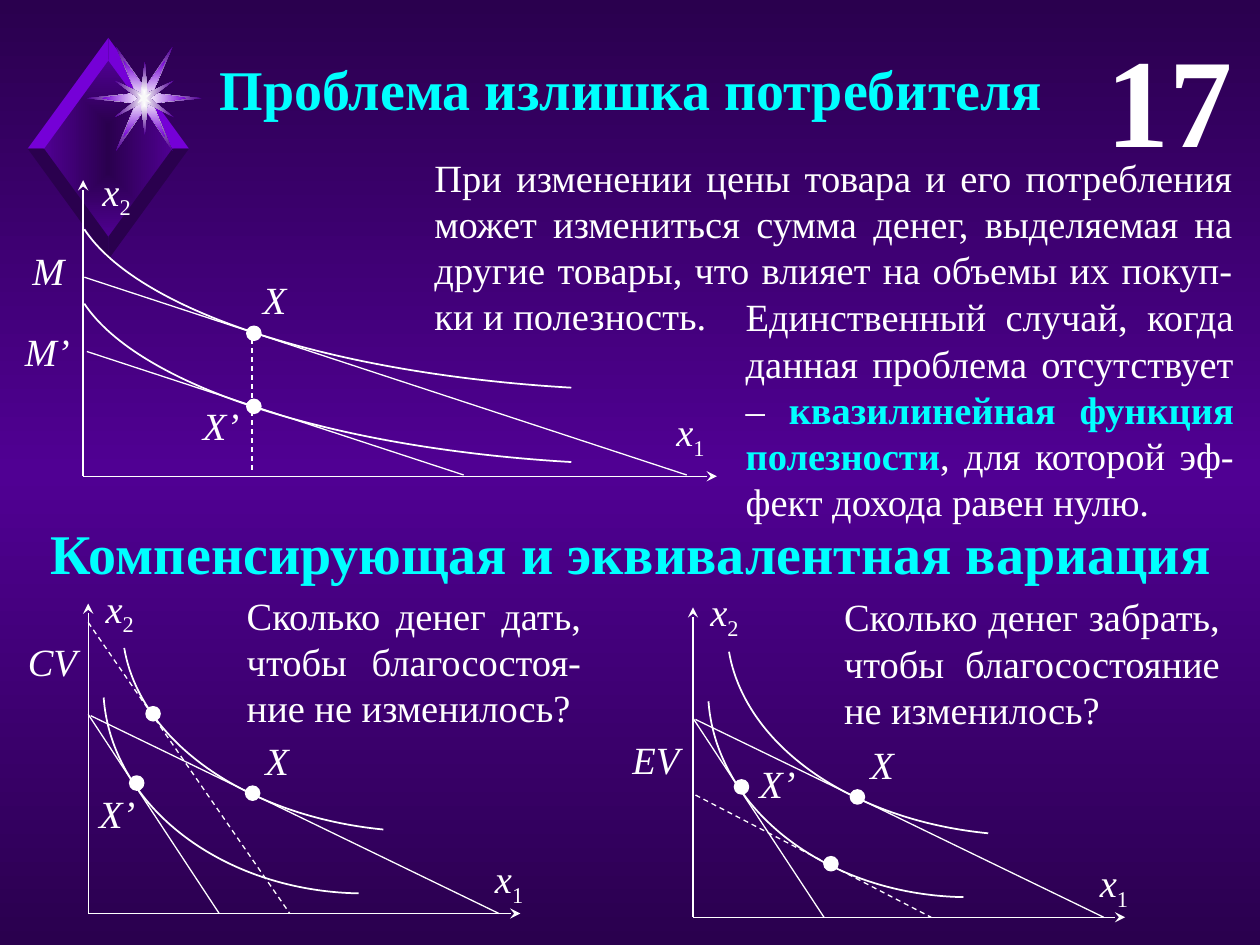
from dataclasses import dataclass
from itertools import chain

from lxml import etree
from pptx import Presentation
from pptx.dml.color import RGBColor
from pptx.enum import dml, shapes, text
from pptx.oxml.ns import qn
from pptx.util import Pt

EMU_PER_PX = 9144  # 100 px to the inch
FONT = "Times New Roman"
WHITE = RGBColor(0xFF, 0xFF, 0xFF)
CYAN = RGBColor(0x00, 0xFF, 0xFF)
NIGHT = RGBColor(0x2A, 0x00, 0x4E)
PURPLE = RGBColor(0x50, 0x00, 0x93)
VIOLET = RGBColor(0x75, 0x00, 0xD7)
PALE = RGBColor(0xF9, 0xF9, 0xF9)
ALIGN = text.PP_ALIGN


@dataclass
class Span:
    words: str
    color: RGBColor = WHITE
    bold: bool = False
    italic: bool = False
    subscript: bool = False


@dataclass
class TextBlock:
    frame: tuple
    spans: list
    size: int = 22
    align: int = ALIGN.JUSTIFY


@dataclass
class Line:
    ends: tuple
    dashed: bool = False
    arrow: str = ""


@dataclass
class Arc:
    frame: tuple
    start: float
    end: float


@dataclass
class Label:
    frame: tuple
    name: str
    index: str = ""


@dataclass
class Diagram:
    arcs: list
    lines: list
    dots: list
    labels: list
    shift: tuple = (0, 0)


def px(*values: int) -> list:
    return [round(value * EMU_PER_PX) for value in values]


def set_gradient(fill, owner, stops: list, centred: bool) -> None:
    """Spread the colours from the centre, or else from top to bottom."""
    fill.gradient()
    gradient = next(owner.iter(qn("a:gradFill")))
    for child in list(gradient):
        gradient.remove(child)
    stop_list = etree.SubElement(gradient, qn("a:gsLst"))
    for number, color in enumerate(stops):
        position = 100000 * number // (len(stops) - 1)
        stop = etree.SubElement(stop_list, qn("a:gs"), pos=str(position))
        etree.SubElement(stop, qn("a:srgbClr"), val=str(color))
    if centred:
        shade = etree.SubElement(gradient, qn("a:path"), {"path": "rect"})
        middle = dict.fromkeys("ltrb", "50000")
        etree.SubElement(shade, qn("a:fillToRect"), middle)
    else:
        etree.SubElement(gradient, qn("a:lin"), ang="5400000", scaled="1")


def add_polygon(parent, points: list, *colors: RGBColor) -> None:
    builder = parent.build_freeform(*points[0], scale=EMU_PER_PX)
    builder.add_line_segments(points[1:], close=True)
    shape = builder.convert_to_shape()
    shape.shadow.inherit = False
    shape.line.fill.background()
    if len(colors) > 1:
        set_gradient(shape.fill, shape._element, colors, centred=True)
    else:
        shape.fill.solid()
        shape.fill.fore_color.rgb = colors[0]


def add_emblem(page) -> None:
    group = page.shapes.add_group_shape().shapes
    add_polygon(group, [(86, 47), (34, 118), (86, 189), (138, 118)], NIGHT, PURPLE)
    edge = [(86, 48), (86, 30), (150, 118), (137, 118)]
    for upper, color in ((True, VIOLET), (False, NIGHT)):
        right = [(x, y if upper else 236 - y) for x, y in edge]
        add_polygon(group, right, color)
        add_polygon(group, [(172 - x, y) for x, y in right], color)

    notches = [(108, 74), (115, 70), (121, 74), (121, 82), (115, 86), (108, 82)]
    long_tips = [(92, 37), (137, 37), (160, 78), (137, 120), (92, 120), (69, 78)]
    short_tips = [(98, 48), (131, 48), (148, 78), (131, 109), (98, 109), (81, 78)]
    for tips, color in ((long_tips, PURPLE), (short_tips, VIOLET)):
        star = list(chain.from_iterable(zip(notches, tips)))
        add_polygon(group, star, WHITE, color)
    add_polygon(group, [(91, 64), (112, 74), (115, 49), (117, 74), (138, 64), (119, 78),
                        (138, 93), (117, 82), (115, 107), (112, 82), (91, 93), (110, 78)],
                WHITE, PURPLE)
    add_polygon(group, [(109, 74), (113, 76), (114, 71), (115, 76), (120, 74), (116, 78),
                        (120, 82), (115, 80), (114, 85), (113, 80), (109, 82), (112, 78)],
                PALE)


def add_text(parent, block: TextBlock, inset: int | None = None) -> None:
    box = parent.add_textbox(*px(*block.frame))
    frame = box.text_frame
    frame.word_wrap = True
    if inset is None:
        frame.auto_size = text.MSO_AUTO_SIZE.SHAPE_TO_FIT_TEXT
    else:
        frame.margin_left = frame.margin_right = px(inset)[0]
        frame.margin_top = frame.margin_bottom = px(inset)[0]
    para = frame.paragraphs[0]
    para.alignment = block.align
    for span in block.spans:
        run = para.add_run()
        run.text = span.words
        run.font.name, run.font.size = FONT, Pt(block.size)
        run.font.bold, run.font.italic = span.bold, span.italic
        run.font.color.rgb = span.color
        if span.subscript:
            run._r.get_or_add_rPr().set("baseline", "-25000")


def add_line(parent, line: Line) -> None:
    connector = parent.add_connector(shapes.MSO_CONNECTOR.STRAIGHT, *px(*line.ends))
    connector.line.color.rgb = WHITE
    connector.line.width = Pt(0.75)
    if line.dashed:
        connector.line.dash_style = dml.MSO_LINE.DASH
    properties = connector._element.spPr
    if line.arrow:
        etree.SubElement(properties.get_or_add_ln(), qn(line.arrow), type="stealth")
    etree.SubElement(properties, qn("a:effectLst"))


def add_outlined(parent, kind: int, frame: tuple):
    shape = parent.add_shape(kind, *px(*frame))
    shape.shadow.inherit = False
    shape.line.color.rgb = WHITE
    shape.line.width = Pt(1)
    return shape


def add_diagram(page, diagram: Diagram) -> None:
    group = page.shapes.add_group_shape().shapes
    dx, dy = diagram.shift

    def moved(frame: tuple) -> tuple:
        return frame[0] + dx, frame[1] + dy, *frame[2:]

    for arc in diagram.arcs:
        curve = add_outlined(group, shapes.MSO_SHAPE.ARC, moved(arc.frame))
        curve.fill.background()
        curve.rotation = 180
        curve.adjustments[0], curve.adjustments[1] = arc.start, arc.end
    for line in diagram.lines:
        x1, y1, x2, y2 = line.ends
        ends = x1 + dx, y1 + dy, x2 + dx, y2 + dy
        add_line(group, Line(ends, line.dashed, line.arrow))
    for x, y in diagram.dots:
        dot = add_outlined(group, shapes.MSO_SHAPE.OVAL, moved((x, y, 11, 11)))
        dot.fill.solid()
        dot.fill.fore_color.rgb = WHITE
    for label in diagram.labels:
        spans = [Span(label.name, italic=True)]
        if label.index:
            spans.append(Span(label.index, subscript=True))
        add_text(group, TextBlock(moved(label.frame), spans, align=ALIGN.CENTER), inset=1)


def variation(shift: tuple, line: Line, dot: tuple, labels: list) -> Diagram:
    """Axes, curves and budgets shared by both variations, plus what differs."""
    return Diagram(
        [Arc((82, 380, 414, 329), 162.9, 214.5), Arc((97, 331, 483, 329), 169.12, 213.32)],
        [Line((70, 479, 70, 725), arrow="a:headEnd"), Line((70, 725, 413, 725), arrow="a:tailEnd"),
         Line((72, 568, 396, 725)), Line((70, 567, 174, 725)), line],
        [(195, 624), (103, 616), dot],
        [Label((373, 678, 62, 47), "x", "1"), Label((70, 463, 50, 41), "x", "2"),
         Label((189, 584, 62, 41), "X"), *labels], shift)


SURPLUS = Diagram(
    [Arc((55, y, 958, 329), 177.86, 213.32) for y in (-19, 40)],
    [Line((66, 143, 66, 378), arrow="a:headEnd"), Line((66, 378, 569, 378), arrow="a:tailEnd"),
     Line((67, 220, 545, 377)), Line((69, 279, 368, 377)), Line((200, 269, 200, 376), dashed=True)],
    [(196, 259), (196, 317)],
    [Label((519, 323, 58, 47), "x", "1"), Label((69, 132, 47, 41), "x", "2"),
     Label((189, 218, 58, 41), "X"), Label((149, 318, 53, 39), "X’"),
     Label((11, 195, 55, 39), "M"), Label((10, 259, 55, 39), "M’")])
COMPENSATING = variation((0, 0), Line((70, 494, 230, 725), dashed=True), (116, 561),
                         [Label((12, 505, 59, 39), "CV"), Label((65, 626, 56, 39), "X’")])
EQUIVALENT = variation((480, 3), Line((72, 628, 259, 725), dashed=True), (174, 677),
                       [Label((11, 580, 59, 39), "EV"), Label((109, 599, 56, 39), "X’")])
TEXTS = [
    TextBlock((20, 38, 962, 64), [Span("Проблема излишка потребителя", CYAN, True)], 32, ALIGN.CENTER),
    TextBlock((863, 12, 125, 131), [Span("17", bold=True)], 72, ALIGN.RIGHT),
    TextBlock((335, 117, 653, 158), [Span(
        "При изменении цены товара и его потребления может измениться сумма денег, выделяемая "
        "на другие товары, что влияет на объемы их покуп-ки и полезность.")]),
    TextBlock((582, 228, 407, 195), [
        Span("Единственный случай, когда данная проблема отсутствует – "),
        Span("квазилинейная функция полезности", CYAN, True),
        Span(", для которой эф-фект дохода равен нулю.")]),
    TextBlock((20, 407, 962, 64), [Span("Компенсирующая и эквивалентная вариация", CYAN, True)], 32, ALIGN.CENTER),
    TextBlock((186, 465, 285, 121), [Span("Сколько денег дать, чтобы благосостоя-ние не изменилось?")]),
    TextBlock((660, 466, 318, 121), [Span("Сколько денег забрать, чтобы благосостояние не изменилось?")]),
]


def main() -> None:
    deck = Presentation()
    deck.slide_width, deck.slide_height = px(1000, 750)
    page = deck.slides.add_slide(deck.slide_layouts[6])
    set_gradient(page.background.fill, page._element, [NIGHT, PURPLE, NIGHT], centred=False)
    add_emblem(page)
    for diagram in (SURPLUS, COMPENSATING, EQUIVALENT):
        add_diagram(page, diagram)
    for block in TEXTS:
        add_text(page.shapes, block)
    deck.save("out.pptx")


if __name__ == "__main__":
    main()
